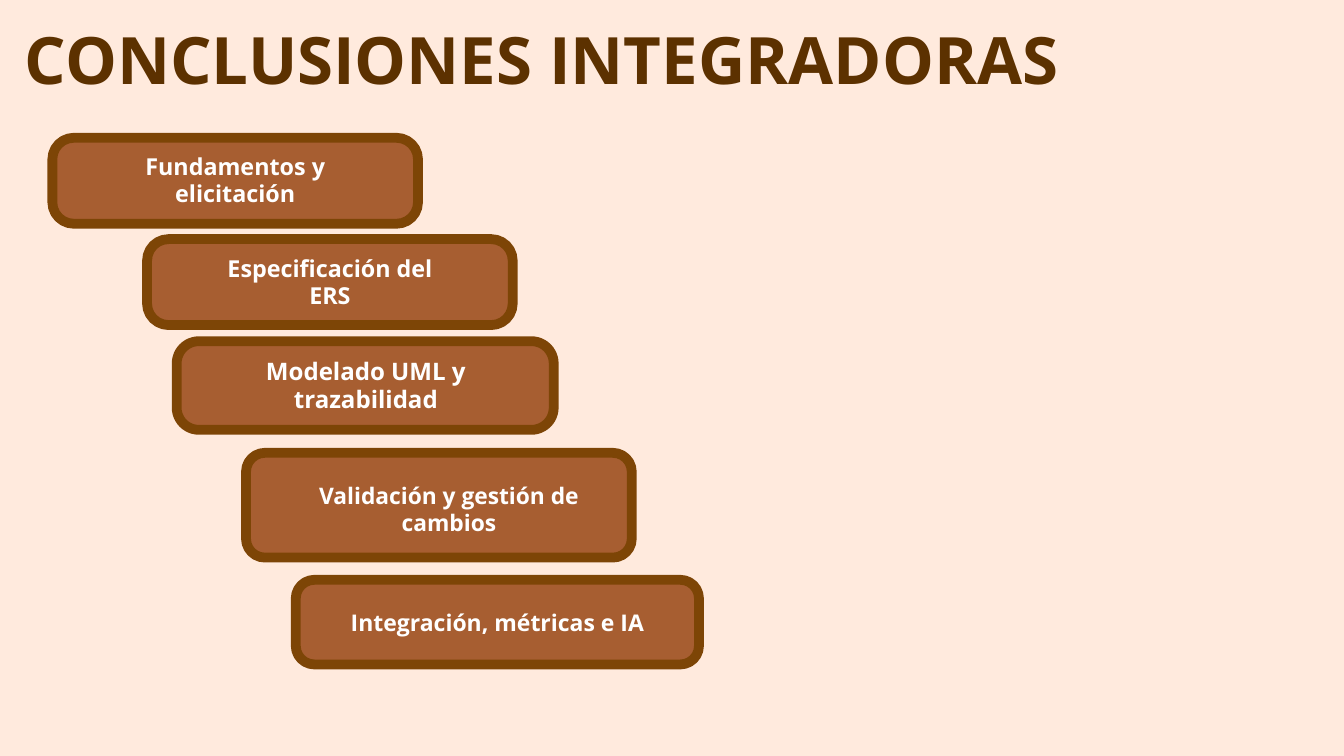
from dataclasses import dataclass

from pptx import Presentation
from pptx import util as u
from pptx.dml.color import RGBColor
from pptx.enum import shapes, text


@dataclass(frozen=True)
class Theme:
    font: str = "Open Sans"
    background: str = "FFEADD"
    title: str = "5C3100"
    step_fill: str = "A75E31"
    step_line: str = "7D4506"
    step_text: str = "FFFFFF"
    title_size: float = 70
    step_sizes: tuple = (25, 25, 25.8, 24.4, 24.6)
    border: float = 10.5


theme = Theme()


def write(sp, words, *, size, color, leading, align):
    """Fill a shape with one bold paragraph; leading is a multiple of size."""
    tf = sp.text_frame
    tf.word_wrap = True
    tf.auto_size = text.MSO_AUTO_SIZE.NONE
    tf.vertical_anchor = text.MSO_ANCHOR.TOP
    tf.margin_left = tf.margin_right = tf.margin_top = tf.margin_bottom = 0
    p = tf.paragraphs[0]
    p.alignment = align
    p.line_spacing = u.Pt(round(size * leading, 1))
    r = p.add_run()
    r.text = words
    r.font.name = theme.font
    r.font.size = u.Pt(size)
    r.font.bold = True
    r.font.color.rgb = RGBColor.from_string(color)


prs = Presentation()
prs.slide_width, prs.slide_height = u.Cm(50.8), u.Cm(28.58)
s = prs.slides.add_slide(prs.slide_layouts[5])
s.background.fill.solid()
s.background.fill.fore_color.rgb = RGBColor.from_string(theme.background)

title = s.shapes.title
title.left, title.top = u.Cm(0.94), u.Cm(1.47)
title.width, title.height = u.Cm(41.17), u.Cm(2.39)
write(title, "CONCLUSIONES INTEGRADORAS", size=theme.title_size,
      color=theme.title, leading=0.9, align=text.PP_ALIGN.LEFT)

# Words, box, corner ratio, label area (left, top, width, height in cm)
steps = [
    ("Fundamentos y elicitación",
     (1.98, 5.21, 13.82, 3.25), 0.25, (4.8, 5.79, 8.18, 2.08)),
    ("Especificación del ERS",
     (5.56, 9.04, 13.82, 3.25), 0.25, (8.38, 9.63, 8.18, 2.08)),
    ("Modelado UML y trazabilidad",
     (6.68, 12.9, 14.25, 3.35), 0.25, (9.6, 13.49, 8.46, 2.16)),
    ("Validación y gestión de cambios",
     (9.3, 17.12, 14.58, 3.96), 0.18, (10.85, 18.24, 12.24, 2.01)),
    ("Integración, métricas e IA",
     (11.18, 21.92, 15.24, 3.2), 0.22, (12.73, 23.04, 12.14, 0.99)),
]

for (words, box, corner, label_area), size in zip(steps, theme.step_sizes):
    group = s.shapes.add_group_shape()
    sp = group.shapes.add_shape(shapes.MSO_SHAPE.ROUNDED_RECTANGLE,
                                *map(u.Cm, box))
    sp.adjustments[0] = corner
    sp.shadow.inherit = False
    sp.fill.solid()
    sp.fill.fore_color.rgb = RGBColor.from_string(theme.step_fill)
    sp.line.color.rgb = RGBColor.from_string(theme.step_line)
    sp.line.width = u.Pt(theme.border)

    label = group.shapes.add_textbox(*map(u.Cm, label_area))
    write(label, words, size=size, color=theme.step_text, leading=1.17,
          align=text.PP_ALIGN.CENTER)

prs.save("out.pptx")
